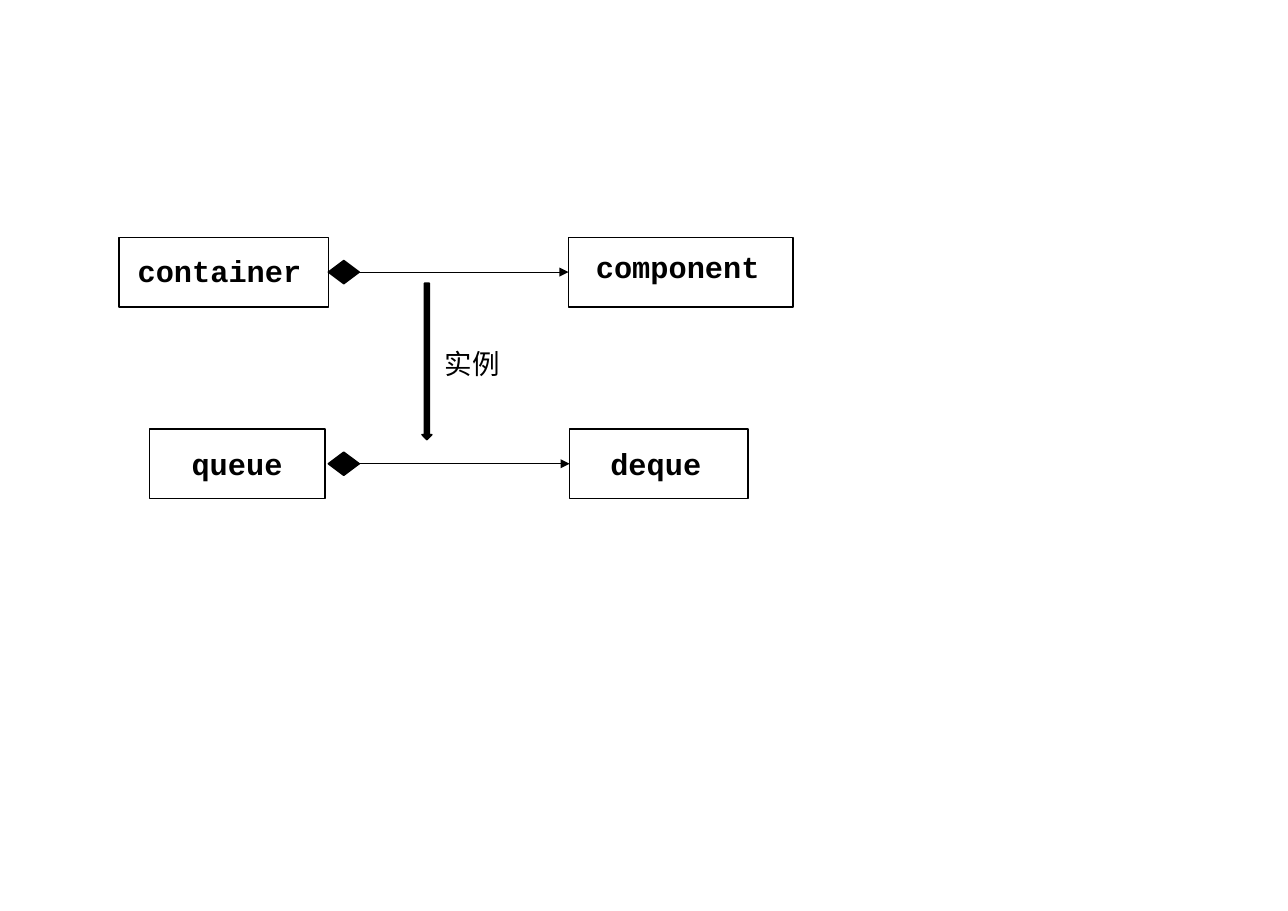
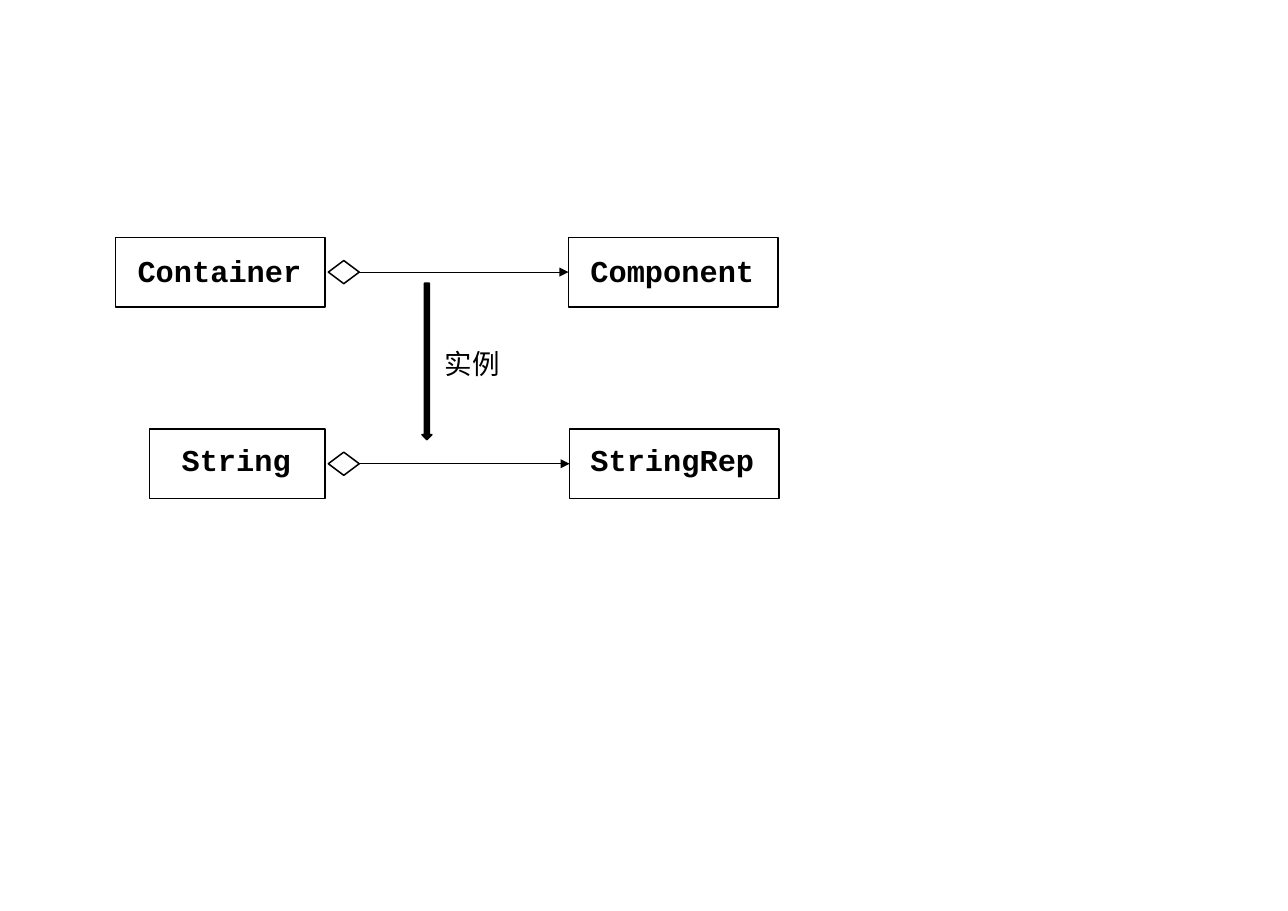
from dataclasses import dataclass

from lxml.etree import SubElement
from pptx import Presentation
from pptx.dml.color import RGBColor
from pptx.enum.shapes import MSO_CONNECTOR, MSO_SHAPE
from pptx.enum.text import MSO_AUTO_SIZE as AutoSize
from pptx.oxml.ns import qn
from pptx.shapes.autoshape import Shape
from pptx.slide import Slide
from pptx.util import Inches, Pt

SLIDE_WIDTH, SLIDE_HEIGHT = Inches(11.69), Inches(8.27)


@dataclass(frozen=True)
class Theme:
    """Colours, fonts and sizes shared by both diagrams."""
    ink: RGBColor = RGBColor(0, 0, 0)
    paper: RGBColor = RGBColor(255, 255, 255)
    code_font: str = "Courier New"
    note_font: str = "Calibri"
    code_size: float = 19.8
    note_size: float = 18
    outline: float = 1
    arrow_line: float = 0.5


@dataclass(frozen=True)
class Area:
    """A rectangle in percent of the slide's width and height."""
    left: float
    top: float
    width: float
    height: float

    def emu(self) -> tuple[int, int, int, int]:
        """Convert the percentages to slide units."""
        return (round(self.left * SLIDE_WIDTH / 100), round(self.top * SLIDE_HEIGHT / 100),
                round(self.width * SLIDE_WIDTH / 100), round(self.height * SLIDE_HEIGHT / 100))


@dataclass(frozen=True)
class ClassBox:
    """A class name in a box; the name sits rise above the row's axis."""
    name: str
    left: float
    width: float
    name_left: float
    rise: float


@dataclass(frozen=True)
class Relation:
    """A container class that holds a component class."""
    container: ClassBox
    component: ClassBox


@dataclass(frozen=True)
class Diagram:
    """A general relation, its instance and the fill of their diamonds."""
    general: Relation
    instance: Relation
    diamond_fill: RGBColor


THEME = Theme()
FIRST_AXIS, AXIS_PITCH = 29.87, 21.04
BOX_HEIGHT, NAME_HEIGHT = 7.62, 5.2
DIAMOND_LEFT, DIAMOND_WIDTH, DIAMOND_HEIGHT = 25.49, 2.4, 2.54
INSTANCE_ARROW = Area(32.76, 31.08, 0.77, 17.17)
INSTANCE_NOTE = Area(33.7, 37.48, 11.12, 5.08)

DIAGRAMS = (
    Diagram(
        Relation(ClassBox("container", 9.24, 16.25, 9.84, 2.78),
                 ClassBox("component", 44.14, 17.45, 45.42, 3.27)),
        Relation(ClassBox("queue", 11.63, 13.6, 14.03, 2.66),
                 ClassBox("deque", 44.23, 13.86, 46.54, 2.66)),
        THEME.ink),
    Diagram(
        Relation(ClassBox("Container", 8.98, 16.25, 9.84, 2.78),
                 ClassBox("Component", 44.14, 16.25, 45, 2.78)),
        Relation(ClassBox("String", 11.63, 13.6, 13.26, 3.02),
                 ClassBox("StringRep", 44.23, 16.25, 45, 3.02)),
        THEME.paper),
)


def add_figure(slide: Slide, kind: MSO_SHAPE, area: Area, fill: RGBColor) -> Shape:
    """Draw an outlined preset shape."""
    figure = slide.shapes.add_shape(kind, *area.emu())
    figure.shadow.inherit = False
    figure.fill.solid()
    figure.fill.fore_color.rgb = fill
    figure.line.color.rgb = THEME.ink
    figure.line.width = Pt(THEME.outline)
    return figure


def add_text(slide: Slide, text: str, area: Area, font_name: str, size: float, bold: bool) -> None:
    """Write one line of text."""
    frame = slide.shapes.add_textbox(*area.emu()).text_frame
    frame.word_wrap = True
    frame.auto_size = AutoSize.SHAPE_TO_FIT_TEXT
    paragraph = frame.paragraphs[0]
    paragraph.text = text
    font = paragraph.font
    font.name, font.size, font.bold = font_name, Pt(size), bold
    font.color.rgb = THEME.ink


def add_class_box(slide: Slide, item: ClassBox, axis: float) -> Shape:
    """Draw a box centred on the axis, with its name reaching to the right edge."""
    box = add_figure(slide, MSO_SHAPE.RECTANGLE,
                     Area(item.left, axis - BOX_HEIGHT / 2, item.width, BOX_HEIGHT), THEME.paper)
    name_width = item.left + item.width - item.name_left
    add_text(slide, item.name, Area(item.name_left, axis - item.rise, name_width, NAME_HEIGHT),
             THEME.code_font, THEME.code_size, True)
    return box


def add_arrow(slide: Slide, source: Shape, target: Shape) -> None:
    """Join the right corner of source to the left side of target."""
    arrow = slide.shapes.add_connector(MSO_CONNECTOR.STRAIGHT, 0, 0, 0, 0)
    arrow.begin_connect(source, 3)
    arrow.end_connect(target, 1)
    arrow.line.color.rgb = THEME.ink
    arrow.line.width = Pt(THEME.arrow_line)
    properties = arrow.element.spPr
    SubElement(properties.find(qn("a:ln")), qn("a:tailEnd"), type="triangle")
    SubElement(properties, qn("a:effectLst"))


def add_relation(slide: Slide, relation: Relation, axis: float, diamond_fill: RGBColor) -> None:
    """Draw container, diamond, arrow and component along one axis."""
    add_class_box(slide, relation.container, axis)
    component = add_class_box(slide, relation.component, axis)
    diamond = add_figure(
        slide, MSO_SHAPE.DIAMOND,
        Area(DIAMOND_LEFT, axis - DIAMOND_HEIGHT / 2, DIAMOND_WIDTH, DIAMOND_HEIGHT), diamond_fill)
    add_arrow(slide, diamond, component)


def add_diagram(slide: Slide, diagram: Diagram) -> None:
    """Draw both relations and the arrow from general to instance."""
    for row, relation in enumerate((diagram.general, diagram.instance)):
        add_relation(slide, relation, FIRST_AXIS + row * AXIS_PITCH, diagram.diamond_fill)
    add_figure(slide, MSO_SHAPE.DOWN_ARROW, INSTANCE_ARROW, THEME.ink)
    add_text(slide, "实例", INSTANCE_NOTE, THEME.note_font, THEME.note_size, False)


def main() -> None:
    """Build and save the presentation."""
    deck = Presentation()
    deck.slide_width, deck.slide_height = SLIDE_WIDTH, SLIDE_HEIGHT
    blank = deck.slide_layouts[6]
    for diagram in DIAGRAMS:
        add_diagram(deck.slides.add_slide(blank), diagram)
    deck.save("out.pptx")


if __name__ == "__main__":
    main()
